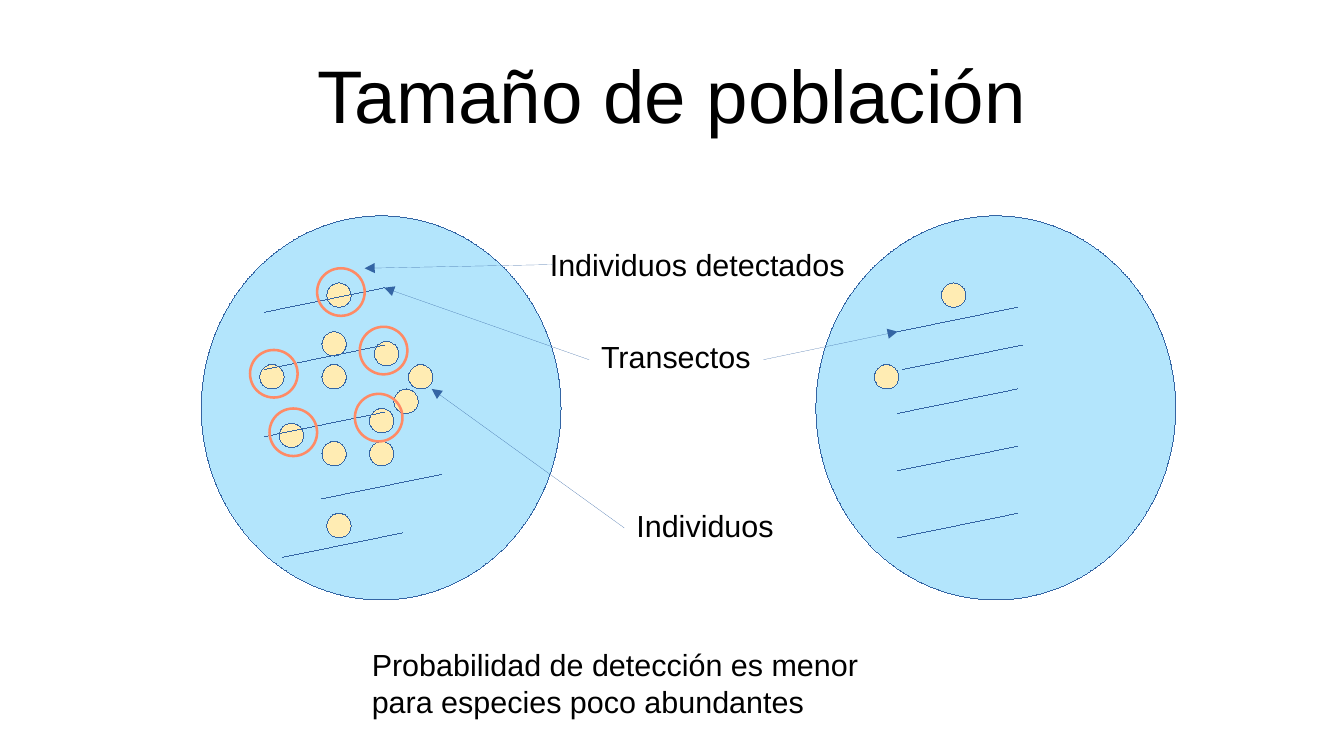
from pptx import Presentation
from pptx.util import Inches, Pt
from pptx.dml.color import RGBColor
from pptx.enum.shapes import MSO_SHAPE as Shape, MSO_CONNECTOR as Link
from pptx.enum.text import PP_ALIGN as Align, MSO_ANCHOR as Anchor, MSO_AUTO_SIZE as Fit
from pptx.oxml.ns import qn
from lxml.etree import SubElement as Sub

BLACK = RGBColor(0x00, 0x00, 0x00)
BLUE = RGBColor(0x34, 0x65, 0xA4)
SKY = RGBColor(0xB3, 0xE5, 0xFC)
CREAM = RGBColor(0xFF, 0xEC, 0xB3)
CORAL = RGBColor(0xFF, 0x8A, 0x65)

DOT, RING = 0.2, 0.39      # diameters
RUN, RISE = 0.98, 0.2      # extent of each transect
PAD = {"margin_left": Inches(0.1), "margin_right": Inches(0.1),
       "margin_top": Inches(0.05), "margin_bottom": Inches(0.05)}
BARE = dict.fromkeys(PAD, 0)

# Places inside each habitat, measured from its top left corner
COMMON = {
    "dots": [(1.03, 0.55), (0.48, 1.22), (0.99, 1.22), (0.99, 1.85),
             (1.7, 1.22), (1.38, 1.58), (1.03, 2.44), (0.64, 1.7),
             (1.42, 1.03), (1.38, 1.85), (1.58, 1.42), (0.99, 0.95)],
    "lines": [(0.52, 0.79), (0.52, 1.26), (0.52, 1.81), (0.99, 2.32), (0.67, 2.8)],
    "rings": [(0.95, 0.43), (0.56, 1.58), (0.4, 1.1), (1.3, 0.91), (1.26, 1.46)],
}
RARE = {
    "dots": [(1.03, 0.55), (0.48, 1.22)],
    "lines": [(0.67, 0.95), (0.71, 1.26), (0.67, 1.62), (0.67, 2.09), (0.67, 2.64)],
    "rings": [],
}


def style(item, form):
    for name, value in form.items():
        setattr(item, name, value)


def pen(item, color, width=0):
    """Colour the line; a hairline needs its zero width written out."""
    item.line.color.rgb = color
    edge = item.line._get_or_add_ln()
    edge.set("w", str(int(Pt(width))))
    return edge


def oval(slide, box, fill=None, line=BLUE, width=0):
    item = slide.shapes.add_shape(Shape.OVAL, *map(Inches, box))
    item.shadow.inherit = False
    if fill is None:
        item.fill.background()
    else:
        item.fill.solid()
        item.fill.fore_color.rgb = fill
    pen(item, line, width)


def stroke(slide, start, end, arrow=False):
    item = slide.shapes.add_connector(Link.STRAIGHT, *map(Inches, (*start, *end)))
    edge = pen(item, BLUE)
    if arrow:
        Sub(edge, qn("a:tailEnd"), type="triangle")
    Sub(item._element.spPr, qn("a:effectLst"))


def write(item, text, size, form, align=Align.LEFT):
    frame = item.text_frame
    frame.text = text
    style(frame, form)
    para = frame.paragraphs[0]
    para.alignment = align
    font = para.runs[0].font
    style(font, {"name": "Arial", "size": Pt(size)})
    font.color.rgb = BLACK


def heading(slide, box, text):
    item = slide.shapes.title
    style(item, dict(zip(("left", "top", "width", "height"), map(Inches, box))))
    form = {"vertical_anchor": Anchor.MIDDLE, "word_wrap": True, "auto_size": Fit.NONE}
    write(item, text, 44, {**BARE, **form}, Align.CENTER)


def label(slide, box, text, wrap=False):
    item = slide.shapes.add_textbox(*map(Inches, box))
    form = {"word_wrap": wrap, "auto_size": Fit.SHAPE_TO_FIT_TEXT,
            "vertical_anchor": Anchor.TOP}
    write(item, text, 18, {**PAD, **form})


def habitat(slide, box, parts):
    """Circle with its individuals, transects and detection rings."""
    left, top = box[:2]
    oval(slide, box, SKY)
    for x, y in parts["dots"]:
        oval(slide, (left + x, top + y, DOT, DOT), CREAM)
    for x, y in parts["lines"]:
        start = left + x, top + y
        stroke(slide, start, (start[0] + RUN, start[1] - RISE))
    for x, y in parts["rings"]:
        oval(slide, (left + x, top + y, RING, RING), line=CORAL, width=1.5)


def legend(slide, box):
    """Labels between the habitats, with arrows to what they name."""
    left, top = box[:2]
    rows = [
        ("Individuos detectados", (0, 0, 2.62, 0.38),
         [((0.12, 0.2), (-1.42, 0.23))]),
        ("Transectos", (0.42, 0.75, 1.44, 0.38),
         [((1.85, 0.98), (2.95, 0.75)), ((0.42, 0.98), (-1.26, 0.39))]),
        ("Individuos", (0.71, 2.14, 1.34, 0.38),
         [((0.71, 2.36), (-0.87, 1.22))]),
    ]
    for text, (x, y, wide, high), arrows in rows:
        label(slide, (left + x, top + y, wide, high), text)
        for ends in arrows:
            start, end = [(left + a, top + b) for a, b in ends]
            stroke(slide, start, end, arrow=True)


def main():
    deck = Presentation()
    style(deck, {"slide_width": Inches(11.02), "slide_height": Inches(6.2)})
    slide = deck.slides.add_slide(deck.slide_layouts[5])

    heading(slide, (0.55, 0.25, 9.92, 1.04), "Tamaño de población")
    for left, parts in ((6.69, RARE), (1.65, COMMON)):
        habitat(slide, (left, 1.77, 2.95, 3.15), parts)
    legend(slide, (4.41, 1.97, 2.62, 2.52))
    label(slide, (2.95, 5.25, 4.75, 0.66),
          "Probabilidad de detección es menor para especies poco abundantes", wrap=True)

    deck.save("out.pptx")


if __name__ == "__main__":
    main()
